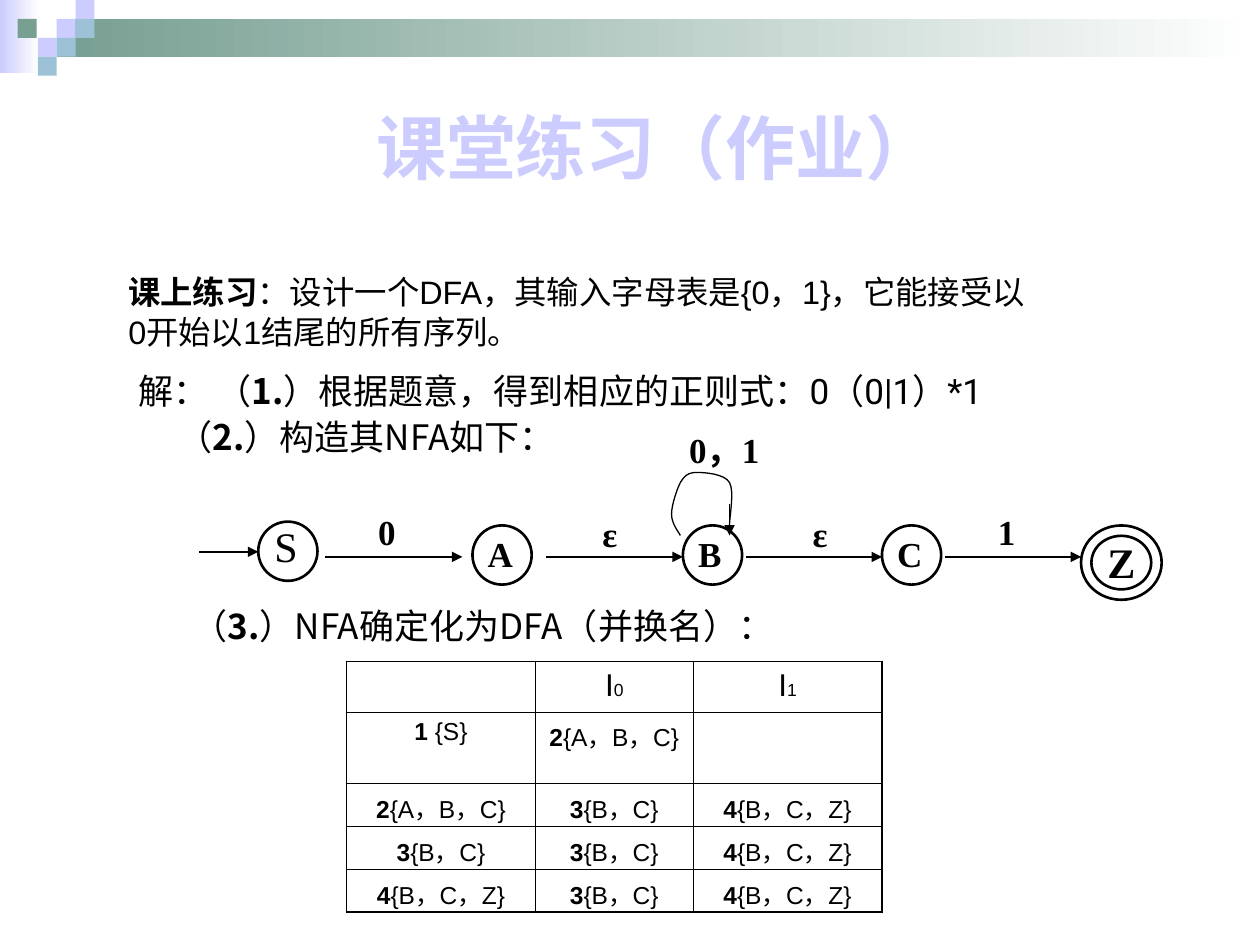
from lxml import etree
from pptx import Presentation
from pptx.dml.color import RGBColor
from pptx.enum import shapes, text
from pptx.oxml import ns
from pptx.util import Inches, Pt

BLACK = RGBColor(0, 0, 0)
WHITE = RGBColor(255, 255, 255)
LILAC = RGBColor(0xCC, 0xCC, 0xFF)
GREEN = RGBColor(0x77, 0x9F, 0x92)
BLUE = RGBColor(0x9D, 0xC2, 0xD7)
ARIAL, SERIF, HAN = "Arial", "Times New Roman", "Noto Sans CJK SC"
ALIGN = text.PP_ALIGN
AUTO = shapes.MSO_SHAPE


def add(parent, tag, **attrs):
    return etree.SubElement(parent, ns.qn(tag), **attrs)


def bezier(start, one, two, end, steps=8):
    """Points along a cubic curve, without its start."""
    for i in range(1, steps + 1):
        t = i / steps
        s = 1 - t
        yield tuple(s**3 * a + 3 * s * s * t * b + 3 * s * t * t * c + t**3 * d
                    for a, b, c, d in zip(start, one, two, end))


class Page:
    def __init__(self, slide, color=BLACK):
        self.slide, self.color = slide, color
        self.items = slide.shapes

    def shape(self, kind, x, y, w, h, fill=None, fade=False, line=None):
        item = self.items.add_shape(kind, Inches(x), Inches(y), Inches(w), Inches(h))
        item.shadow.inherit = False
        if fade:
            item.fill.gradient()
            item.fill.gradient_angle = 0
            for stop, tint in zip(item.fill.gradient_stops, (fill, WHITE)):
                stop.color.rgb = tint
        elif fill is not None:
            item.fill.solid()
            item.fill.fore_color.rgb = fill
        else:
            item.fill.background()
        if line:
            item.line.color.rgb = self.color
            item.line.width = Pt(line)
        else:
            item.line.fill.background()
        return item

    def runs(self, para, parts, size, font, color=None):
        """Fill a paragraph from (text, bold[, size or font]) parts."""
        for words, bold, *more in parts:
            run = para.add_run()
            run.text = words
            face = run.font
            face.bold, face.size, face.name = bold, Pt(size), font
            for extra in more:
                if isinstance(extra, str):
                    face.name = extra
                else:
                    face.size = Pt(extra)
            face.color.rgb = color or self.color
            latin = run._r.rPr.find(ns.qn("a:latin"))
            latin.addnext(etree.Element(ns.qn("a:ea"), typeface=HAN))

    def box(self, x, y, w, h, paras, size, font, color=None, left=0.1, top=0.05, right=0.1):
        frame = self.items.add_textbox(Inches(x), Inches(y), Inches(w), Inches(h)).text_frame
        frame.word_wrap = True
        frame.margin_left, frame.margin_top = Inches(left), Inches(top)
        frame.margin_right = Inches(right)
        for i, parts in enumerate(paras):
            para = frame.add_paragraph() if i else frame.paragraphs[0]
            self.runs(para, parts, size, font, color)
        return frame

    def label(self, x, y, word, size=20, bold=True, w=0.51, h=0.57, left=0.2, top=0.15):
        self.box(x, y, w, h, [[(word, bold)]], size, SERIF, left=left, top=top, right=0)

    def arrow(self, x, y, end_x, end_y, width=0.75):
        item = self.items.add_connector(
            shapes.MSO_CONNECTOR.STRAIGHT, Inches(x), Inches(y), Inches(end_x), Inches(end_y))
        item.line.color.rgb = self.color
        item.line.width = Pt(width)
        add(item.line._get_or_add_ln(), "a:tailEnd", type="triangle")
        add(item._element.spPr, "a:effectLst")

    def curve(self, start, parts):
        points = []
        last = start
        for one, two, end in parts:
            points += bezier(last, one, two, end)
            last = end
        pen = self.items.build_freeform(Inches(start[0]), Inches(start[1]))
        pen.add_line_segments([(Inches(x), Inches(y)) for x, y in points], close=False)
        item = pen.convert_to_shape()
        item.shadow.inherit = False
        item.fill.background()
        item.line.color.rgb = self.color
        item.line.width = Pt(0.75)

    def border(self, cell, widths):
        props = cell._tc.get_or_add_tcPr()
        for i, (side, width) in enumerate(zip("LRTB", widths)):
            line = etree.Element(ns.qn(f"a:ln{side}"), w=str(Pt(width)))
            add(add(line, "a:solidFill"), "a:srgbClr", val=str(self.color))
            props.insert(i, line)

    def table(self, x, y, cols, rows, cells):
        grid = self.items.add_table(len(rows), len(cols), Inches(x), Inches(y),
                                    Inches(sum(cols)), Inches(sum(rows))).table
        grid.first_row = grid.horz_banding = False
        for col, width in zip(grid.columns, cols):
            col.width = Inches(width)
        for row, height in zip(grid.rows, rows):
            row.height = Inches(height)
        for r, line in enumerate(cells):
            for c, parts in enumerate(line):
                cell = grid.cell(r, c)
                cell.fill.background()
                outer = (c == 0, c == len(cols) - 1, r == 0, r == len(rows) - 1)
                self.border(cell, [1.08 if edge else 0.45 for edge in outer])
                para = cell.text_frame.paragraphs[0]
                para.alignment = ALIGN.CENTER
                para.space_before = Pt(3.5 if r else 2.5)
                self.runs(para, parts, 14, ARIAL)


def indent(para, left, first, spacing):
    props = para._p.get_or_add_pPr()
    props.set("marL", str(Inches(left)))
    props.set("indent", str(Inches(first)))
    para.line_spacing = spacing
    para.space_before = Pt(5)


def banner(page):
    page.shape(AUTO.RECTANGLE, 0, 0, 0.31, 0.58, LILAC, fade=True)
    page.shape(AUTO.RECTANGLE, 0.45, 0.15, 9.55, 0.3, GREEN, fade=True)
    for x, y, fill in ((0.45, 0.15, LILAC), (0.6, 0, LILAC), (0.6, 0.15, BLUE),
                       (0.3, 0.3, LILAC), (0.14, 0.15, GREEN),
                       (0.45, 0.3, BLUE), (0.3, 0.45, BLUE)):
        page.shape(AUTO.RECTANGLE, x, y, 0.15, 0.15, fill)


def prose(page):
    title = page.box(1.08, 0.83, 8.25, 0.67, [[("课堂练习（作业）", True)]], 40, HAN, LILAC)
    title.vertical_anchor = text.MSO_ANCHOR.MIDDLE
    title.paragraphs[0].alignment = ALIGN.CENTER
    task = page.box(0.42, 2.17, 8.67, 0.75, [
        [("课上练习", True), ("：设计一个DFA，其输入字母表是{0，1}，它能接受以", False)],
        [("0开始以1结尾的所有序列。", False)]], 18.5, ARIAL)
    for para in task.paragraphs:
        indent(para, 0.81, -0.31, 0.8)
    steps = page.box(0.5, 2.92, 8.38, 0.77, [
        [("解： （", False), ("1.", True), ("）", False),
         ("根据题意，得到相应的正则式：0（0|1）*1", False, "Roboto")],
        [("（", False), ("2.", True), ("）构造其NFA如下：", False)]], 20, HAN)
    for para, left in zip(steps.paragraphs, (0.5, 0.81)):
        indent(para, left, 0, 0.9)
    page.box(1.43, 4.75, 5.24, 0.44, [
        [("（", False), ("3.", True), ("）NFA确定化为DFA（并换名）：", False)]], 20, HAN)


def graph(page):
    """The automaton: states, moves and the loop on B."""
    page.shape(AUTO.OVAL, 2.05, 4.14, 0.47, 0.47, line=1.5)
    page.arrow(1.58, 4.38, 2.05, 4.38, 1.5)
    page.label(2.08, 4.08, "S", 24, False, h=0.5, left=0.1, top=0.05)
    for x, name in ((3.75, "A"), (5.42, "B"), (7, "C")):
        page.shape(AUTO.OVAL, x, 4.17, 0.47, 0.47, line=1.5)
        page.label(x - 0.08, 4.08, name)
    ring = page.shape(AUTO.DONUT, 8.58, 4.17, 0.64, 0.59, line=1.5)
    ring.adjustments[0] = 0.14
    page.label(8.69, 4.21, "Z", 24, h=0.5, left=0.1, top=0.05)
    for x, end in ((2.58, 3.67), (4.33, 5.42), (5.92, 7), (7.5, 8.58)):
        page.arrow(x, 4.42, end, 4.42)
    for x, word in ((2.83, "0"), (7.75, "1")):
        page.label(x, 4, word, w=0.41, h=0.44, left=0.17, top=0.05)
    for x in (4.58, 6.25):
        page.label(x, 3.92, "ε", w=0.41)
    page.curve((5.4, 4.25), [
        ((5.37, 4.2), (5.33, 4.15), (5.33, 4.08)),
        ((5.33, 4.01), (5.37, 3.89), (5.4, 3.83)),
        ((5.43, 3.78), (5.46, 3.75), (5.53, 3.75)),
        ((5.59, 3.75), (5.75, 3.76), (5.79, 3.83)),
        ((5.83, 3.9), (5.79, 4.1), (5.79, 4.17))])
    page.arrow(5.79, 4, 5.79, 4.25)
    page.label(5.27, 3.25, "0，1", w=0.98)


def main():
    deck = Presentation()
    deck.slide_width, deck.slide_height = Inches(10), Inches(7.5)
    page = Page(deck.slides.add_slide(deck.slide_layouts[6]))
    banner(page)
    prose(page)
    graph(page)
    sets = {"1": " {S}", "2": "{A，B，C}", "3": "{B，C}", "4": "{B，C，Z}"}
    heads = [[]] + [[("I", False, 18), (n, False, 10)] for n in "01"]
    moves = [[[(n, True), (sets[n], False)] if n in sets else [] for n in row]
             for row in ("12-", "234", "334", "434")]
    page.table(2.75, 5.25, (1.5, 1.25, 1.5), (0.4, 0.57, 0.34, 0.34, 0.34), [heads] + moves)
    deck.save("out.pptx")


if __name__ == "__main__":
    main()
